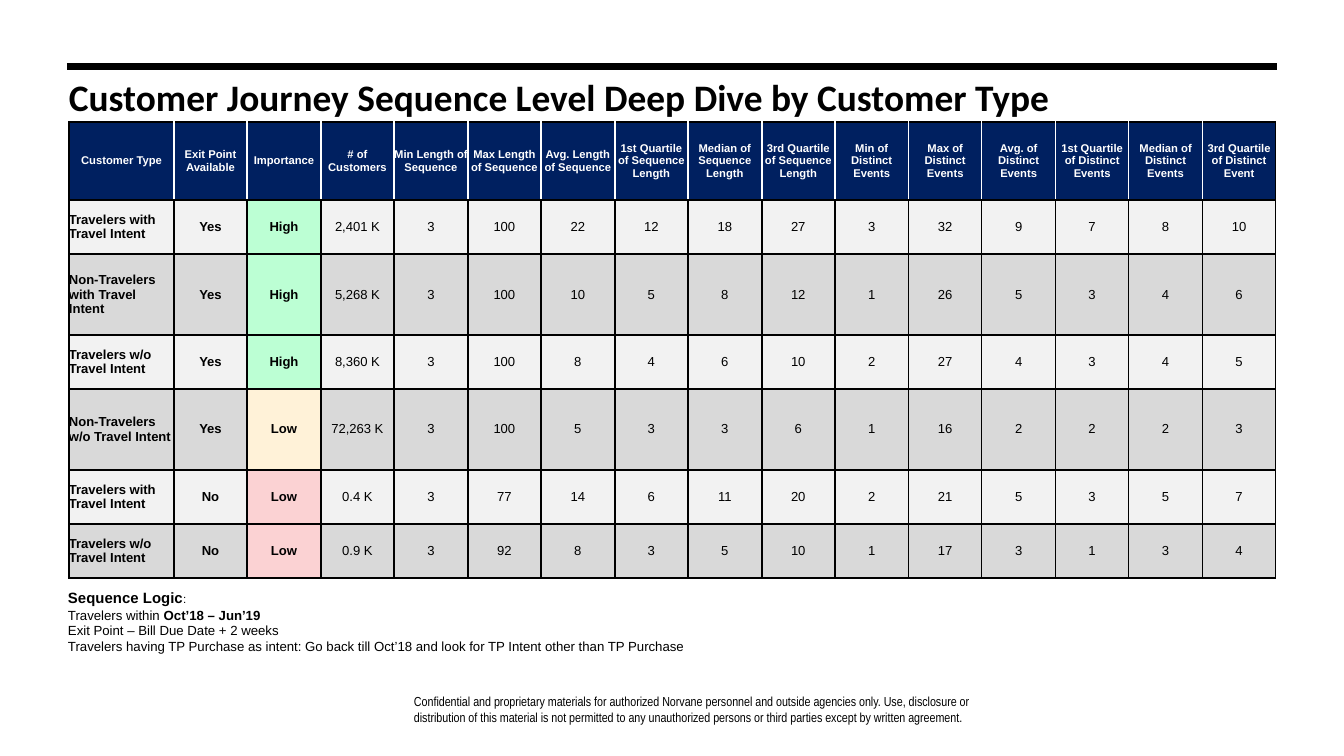
"""Build the customer journey deep dive slide."""
from dataclasses import dataclass

from lxml import etree
from pptx import Presentation
from pptx.dml.color import RGBColor
from pptx.enum.shapes import MSO_CONNECTOR
from pptx.enum.text import MSO_ANCHOR, MSO_AUTO_SIZE, PP_ALIGN
from pptx.oxml.ns import qn
from pptx.util import Emu, Pt

EMU_PER_PX = 914400 / 134.4
STRAIGHT = MSO_CONNECTOR.STRAIGHT
TOP, MIDDLE, BOTTOM = MSO_ANCHOR.TOP, MSO_ANCHOR.MIDDLE, MSO_ANCHOR.BOTTOM
LEFT, CENTER = PP_ALIGN.LEFT, PP_ALIGN.CENTER
GROW = MSO_AUTO_SIZE.SHAPE_TO_FIT_TEXT

BLACK, WHITE, NAVY = "000000", "FFFFFF", "002060"
BANDS = ("F2F2F2", "D9D9D9")
GREEN, CREAM, PINK = "BCFFD4", "FFF2D8", "FBD2D3"

TABLE_LEFT, TABLE_TOP = 69, 122
LABEL_WIDTH, VALUES_WIDTH = 105, 1102
ROW_HEIGHTS = (78, 54, 81, 54, 81, 54, 54)
IMPORTANCE_COLUMN = 2
BOLD_COLUMNS = 3

HEADERS = (
    "Customer Type", "Exit Point Available", "Importance", "# of Customers",
    "Min Length of Sequence", "Max Length of Sequence", "Avg. Length of Sequence",
    "1st Quartile of Sequence Length", "Median of Sequence Length",
    "3rd Quartile of Sequence Length", "Min of Distinct Events",
    "Max of Distinct Events", "Avg. of Distinct Events",
    "1st Quartile of Distinct Events", "Median of Distinct Events",
    "3rd Quartile of Distinct Event",
)


@dataclass(frozen=True)
class Segment:
    """A run of text and its look."""
    text: str
    size: float
    bold: bool = False
    font: str = "Arial"
    color: str = BLACK


@dataclass(frozen=True)
class CustomerRow:
    """One customer type with its importance and measures."""
    customer_type: str
    exit_point: str
    importance: str
    importance_fill: str
    customers: str
    measures: tuple[int, ...]

    def texts(self) -> tuple[str, ...]:
        """Return the cell texts from left to right."""
        return (self.customer_type, self.exit_point, self.importance,
                self.customers, *map(str, self.measures))


CUSTOMER_ROWS = (
    CustomerRow("Travelers with Travel Intent", "Yes", "High", GREEN, "2,401 K",
                (3, 100, 22, 12, 18, 27, 3, 32, 9, 7, 8, 10)),
    CustomerRow("Non-Travelers with Travel Intent", "Yes", "High", GREEN, "5,268 K",
                (3, 100, 10, 5, 8, 12, 1, 26, 5, 3, 4, 6)),
    CustomerRow("Travelers w/o Travel Intent", "Yes", "High", GREEN, "8,360 K",
                (3, 100, 8, 4, 6, 10, 2, 27, 4, 3, 4, 5)),
    CustomerRow("Non-Travelers w/o Travel Intent", "Yes", "Low", CREAM, "72,263 K",
                (3, 100, 5, 3, 3, 6, 1, 16, 2, 2, 2, 3)),
    CustomerRow("Travelers with Travel Intent", "No", "Low", PINK, "0.4 K",
                (3, 77, 14, 6, 11, 20, 2, 21, 5, 3, 5, 7)),
    CustomerRow("Travelers w/o Travel Intent", "No", "Low", PINK, "0.9 K",
                (3, 92, 8, 3, 5, 10, 1, 17, 3, 1, 3, 4)),
)

TITLE = ((Segment("Customer Journey Sequence Level Deep Dive by Customer Type",
                  20, True, "Calibri"),),)
SEQUENCE_LOGIC = (
    (Segment("Sequence Logic", 8, True), Segment(":", 6.2)),
    (Segment("Travelers within ", 7.1), Segment("Oct’18 – Jun’19", 7.1, True)),
    (Segment("Exit Point – Bill Due Date + 2 weeks", 7.1),),
    (Segment("Travelers having TP Purchase as intent: Go back till Oct’18 "
             "and look for TP Intent other than TP Purchase", 7.1),),
)
CONFIDENTIALITY = ((Segment(
    "Confidential and proprietary materials for authorized Norvane personnel and "
    "outside agencies only. Use, disclosure or distribution of this material is not "
    "permitted to any unauthorized persons or third parties except by written agreement.",
    7, font="Arial Narrow"),),)


def px(length: int) -> Emu:
    """Turn pixels into EMU."""
    return Emu(round(length * EMU_PER_PX))


def rgb(color: str) -> RGBColor:
    """Turn a hex string into a colour."""
    return RGBColor.from_string(color)


def add_run(paragraph, segment: Segment) -> None:
    """Append one formatted run."""
    run = paragraph.add_run()
    run.text = segment.text
    run.font.size = Pt(segment.size)
    run.font.bold = segment.bold
    run.font.name = segment.font
    run.font.color.rgb = rgb(segment.color)


def add_text(slide, box: tuple[int, int, int, int], lines, insets=(0, 0, 0, 0),
             anchor=TOP, spacing: float | None = None):
    """Add a wrapping text box with one paragraph a line."""
    shape = slide.shapes.add_textbox(*map(px, box))
    frame = shape.text_frame
    frame.word_wrap = True
    frame.vertical_anchor = anchor
    (frame.margin_left, frame.margin_top,
     frame.margin_right, frame.margin_bottom) = map(px, insets)
    for index, segments in enumerate(lines):
        paragraph = frame.add_paragraph() if index else frame.paragraphs[0]
        paragraph.line_spacing = spacing
        for segment in segments:
            add_run(paragraph, segment)
    return shape


def add_rule(slide, left: int, right: int, top: int) -> None:
    """Add the thick horizontal rule above the title."""
    rule = slide.shapes.add_connector(STRAIGHT, px(left), px(top), px(right), px(top))
    rule.line.color.rgb = rgb(BLACK)
    rule.line.width = Pt(3.75)
    etree.SubElement(rule._element.spPr, qn("a:effectLst"))


def set_borders(cell, left: str, right: str) -> None:
    """Draw one-point borders, black at top and bottom."""
    properties = cell._tc.get_or_add_tcPr()
    sides = {"lnL": left, "lnR": right, "lnT": BLACK, "lnB": BLACK}
    for side, color in sides.items():
        line = etree.SubElement(properties, qn(f"a:{side}"), w=str(Pt(1)))
        fill = etree.SubElement(line, qn("a:solidFill"))
        etree.SubElement(fill, qn("a:srgbClr"), val=color)


def fill_cell(cell, segment: Segment, fill: str, alignment, left=BLACK, right=BLACK) -> None:
    """Write, border and fill one table cell."""
    cell.margin_left = cell.margin_right = cell.margin_top = cell.margin_bottom = 0
    cell.vertical_anchor = MIDDLE
    set_borders(cell, left, right)
    cell.fill.solid()
    cell.fill.fore_color.rgb = rgb(fill)
    paragraph = cell.text_frame.paragraphs[0]
    paragraph.alignment = alignment
    add_run(paragraph, segment)


def add_customer_table(slide) -> None:
    """Add the table of customer types."""
    count = len(HEADERS)
    table = slide.shapes.add_table(
        len(ROW_HEIGHTS), count, px(TABLE_LEFT), px(TABLE_TOP),
        px(LABEL_WIDTH + VALUES_WIDTH), px(sum(ROW_HEIGHTS))).table
    table.horz_banding = False
    edges = [round(VALUES_WIDTH * index / (count - 1)) for index in range(count)]
    widths = [LABEL_WIDTH] + [end - start for start, end in zip(edges, edges[1:])]
    for column, width in zip(table.columns, widths):
        column.width = px(width)
    for row, height in zip(table.rows, ROW_HEIGHTS):
        row.height = px(height)
    for index, text in enumerate(HEADERS):
        fill_cell(table.cell(0, index), Segment(text, 6, True, color=WHITE), NAVY, CENTER,
                  left=WHITE if index else BLACK,
                  right=WHITE if index < count - 1 else BLACK)
    for row_index, customer in enumerate(CUSTOMER_ROWS):
        band = BANDS[row_index % 2]
        for index, text in enumerate(customer.texts()):
            fill_cell(table.cell(row_index + 1, index),
                      Segment(text, 7, index < BOLD_COLUMNS),
                      customer.importance_fill if index == IMPORTANCE_COLUMN else band,
                      CENTER if index else LEFT)


def main() -> None:
    """Build and save the slide."""
    presentation = Presentation()
    presentation.slide_width, presentation.slide_height = px(1344), px(756)
    slide = presentation.slides.add_slide(presentation.slide_layouts[6])
    add_text(slide, (414, 691, 591, 34), CONFIDENTIALITY, (0, 0, 27, 0), BOTTOM)
    add_rule(slide, 67, 1277, 67)
    add_text(slide, (69, 83, 1099, 42), TITLE, spacing=0.8)
    add_customer_table(slide)
    logic = add_text(slide, (55, 582, 1238, 79), SEQUENCE_LOGIC, (13, 7, 13, 7))
    logic.text_frame.auto_size = GROW
    presentation.save("out.pptx")


if __name__ == "__main__":
    main()
